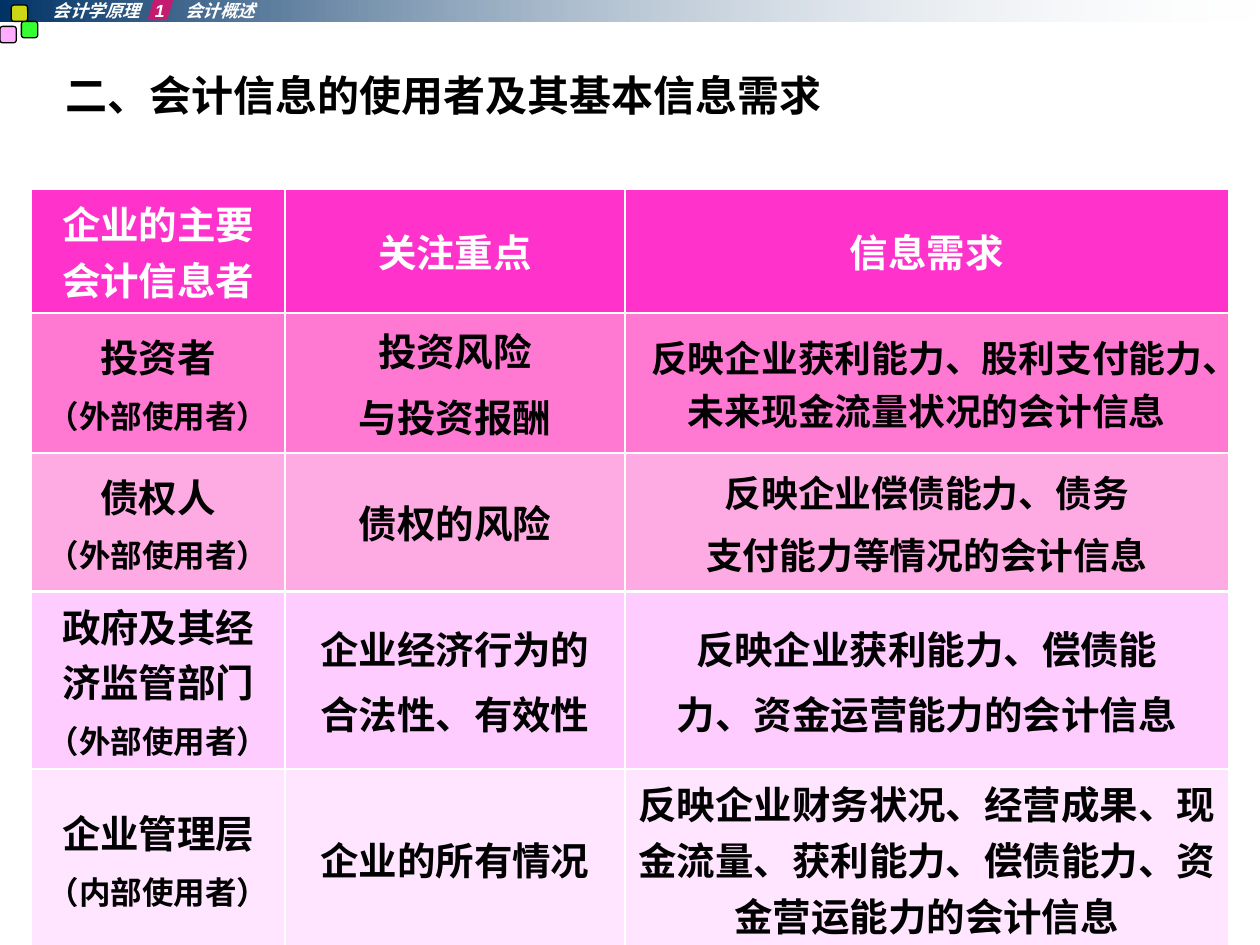
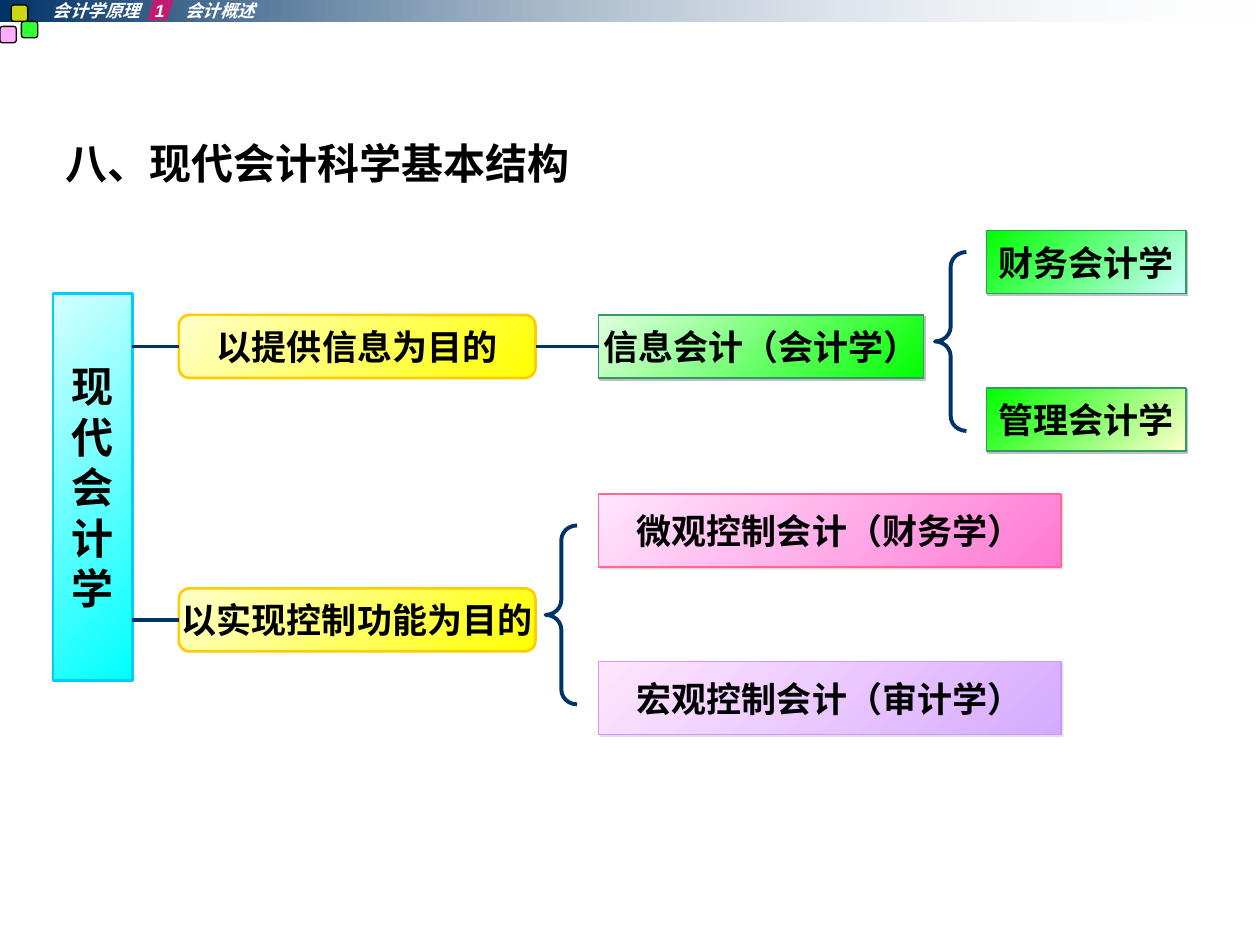
from pptx import Presentation
from pptx.dml.color import RGBColor
from pptx.enum.shapes import MSO_CONNECTOR, MSO_SHAPE
from pptx.enum.text import MSO_ANCHOR, MSO_AUTO_SIZE, PP_ALIGN
from pptx.oxml.ns import qn
from pptx.util import Inches, Pt
from lxml.etree import SubElement

COLORS = {
    "navy": "003366", "mist": "E7ECF1", "white": "FFFFFF", "black": "000000",
    "pink": "FF99FF", "green": "00FF00", "yellow": "FFFF00", "crimson": "FF0066",
    "cream": "FFFFCC", "gold": "FFCC00", "ice": "D5FFFF", "cyan": "00FFFF",
    "sky": "00CCFF", "pale green": "E1FFE1", "forest": "339966",
    "pale cyan": "CCFFFF", "blush": "FFE5FF", "rose": "FF79D2",
    "coral": "FF6699", "lilac": "D5ABFF", "violet": "CC99FF",
    "shadow": "C0C0C0", "magenta": "FF33CC", "light rose": "FFABE3",
    "pale pink": "FFCCFF",
}

# Shared header
HEADER_TEXT = "会计学原理\t1\t会计概述"
HEADER_TABS = (0.81, 1.05)
HEADER_SQUARES = [(0, 0.21, "pink"), (0.17, 0.17, "green"), (0.09, 0.04, "yellow")]

# Slide 1: each cell is a list of (line, size)
USERS_TITLE = "二、会计信息的使用者及其基本信息需求"
OUTSIDE, INSIDE = ("（外部使用者）", 18), ("（内部使用者）", 18)
COLUMN_WIDTHS = (2.01, 2.7, 4.79)
USER_ROWS = [
    ("magenta", 0.89, [
        [("企业的主要会计信息者", 22)],
        [("关注重点", 22)],
        [("信息需求", 22)]]),
    ("rose", 1.11, [
        [("投资者", 22), OUTSIDE],
        [("投资风险", 22), ("与投资报酬", 22)],
        [("反映企业获利能力、股利支付能力、未来现金流量状况的会计信息", 21)]]),
    ("light rose", 1.1, [
        [("债权人", 22), OUTSIDE],
        [("债权的风险", 22)],
        [("反映企业偿债能力、债务", 21), ("支付能力等情况的会计信息", 21)]]),
    ("pale pink", 1.2, [
        [("政府及其经济监管部门", 22), OUTSIDE],
        [("企业经济行为的", 22), ("合法性、有效性", 22)],
        [("反映企业获利能力、偿债能", 22), ("力、资金运营能力的会计信息", 22)]]),
    ("blush", 1.2, [
        [("企业管理层", 22), INSIDE],
        [("企业的所有情况", 22)],
        [("反映企业财务状况、经营成果、现金流量、获利能力、偿债能力、资金营运能力的会计信息", 22)]]),
]

# Slide 2
STRUCTURE_TITLE = "八、现代会计科学基本结构"
ROOT_TEXT = "现代会计学"
ROOT_BOX = (0.42, 2.33, 0.63, 3.07)
PURPOSES = [("以提供信息为目的", (1.42, 2.5, 2.83, 0.5)),
            ("以实现控制功能为目的", (1.42, 4.67, 2.83, 0.5))]
# text, box, gradient start, gradient end, outline, shadow opacity
BRANCHES = [
    ("信息会计（会计学）", (4.75, 2.5, 2.58, 0.5), "pale green", "green", "forest", 100),
    ("宏观控制会计（审计学）", (4.75, 5.25, 3.67, 0.58), "blush", "lilac", "violet", 50),
    ("微观控制会计（财务学）", (4.75, 3.92, 3.67, 0.58), "blush", "rose", "coral", 50),
    ("财务会计学", (7.83, 1.83, 1.58, 0.5), "green", "pale cyan", "forest", 100),
    ("管理会计学", (7.83, 3.08, 1.58, 0.5), "green", "cream", "forest", 100),
]
BRACES = [(7.42, 2, 0.25, 1.42), (4.33, 4.17, 0.25, 1.42)]


def rgb(name):
    return RGBColor.from_string(COLORS[name])


def inches(box):
    return [Inches(length) for length in box]


def set_font(paragraph, size, color="black", font="Arial", italic=None):
    paragraph.font.name = font
    paragraph.font.size = Pt(size)
    paragraph.font.bold = True
    paragraph.font.italic = italic
    paragraph.font.color.rgb = rgb(color)


def add_color(parent, name, opacity=100):
    color = SubElement(parent, qn("a:srgbClr"), val=COLORS[name])
    if opacity < 100:
        SubElement(color, qn("a:alpha"), val=str(opacity * 1000))


def set_last_alpha(shape, opacity):
    """Set the opacity of the last fill colour."""
    color = shape.element.xpath("p:spPr/*[self::a:solidFill or self::a:gradFill]//a:srgbClr")[-1]
    SubElement(color, qn("a:alpha"), val=str(opacity * 1000))


def add_filled(slide, kind, box, fill, outline=None, width=1, corner=None, angle=45):
    """Fill is one colour name, or a pair for a gradient."""
    shape = slide.shapes.add_shape(kind, *inches(box))
    shape.shadow.inherit = False
    if corner is not None:
        shape.adjustments[0] = corner
    if isinstance(fill, tuple):
        shape.fill.gradient()
        shape.fill.gradient_angle = (360 - angle) % 360
        for stop, name in zip(shape.fill.gradient_stops, fill):
            stop.color.rgb = rgb(name)
    else:
        shape.fill.solid()
        shape.fill.fore_color.rgb = rgb(fill)
    if outline:
        shape.line.color.rgb = rgb(outline)
        shape.line.width = Pt(width)
    else:
        shape.line.fill.background()
    return shape


def write_node(shape, text, size=20, font="Arial"):
    frame = shape.text_frame
    frame.text = text
    frame.word_wrap = False
    frame.vertical_anchor = MSO_ANCHOR.MIDDLE
    for paragraph in frame.paragraphs:
        paragraph.alignment = PP_ALIGN.CENTER
        set_font(paragraph, size, font=font)


def clear_insets(frame):
    frame.margin_left = frame.margin_right = frame.margin_top = frame.margin_bottom = 0


def add_header(slide):
    """Build the header and move it to the layout that all slides share."""
    band = add_filled(slide, MSO_SHAPE.RECTANGLE, (0, 0, 10, 0.17), ("navy", "mist"), angle=0)
    set_last_alpha(band, 0)
    parts = [band]
    for left, top, color in HEADER_SQUARES:
        square = add_filled(slide, MSO_SHAPE.ROUNDED_RECTANGLE, (left, top, 0.13, 0.13),
                            color, "black", 0.75)
        set_last_alpha(square, 80)
        parts.append(square)
    chapter_mark = add_filled(slide, MSO_SHAPE.PARALLELOGRAM, (1.17, -0.02, 0.21, 0.18),
                              "crimson", corner=0.3)
    set_last_alpha(chapter_mark, 70)

    course = slide.shapes.add_textbox(*inches((0.42, 0, 2.12, 0.17)))
    course.text_frame.word_wrap = True
    clear_insets(course.text_frame)
    paragraph = course.text_frame.paragraphs[0]
    paragraph.text = HEADER_TEXT
    paragraph.alignment = PP_ALIGN.LEFT
    tabs = SubElement(paragraph.runs[0].font and course.element.xpath(".//a:pPr")[0],
                      qn("a:tabLst"))
    for position in HEADER_TABS:
        SubElement(tabs, qn("a:tab"), pos=str(Inches(position)), algn="l")
    set_font(paragraph, 10, "white", italic=True)
    for part in parts + [chapter_mark, course]:
        slide.slide_layout.shapes.element.append(part.element)


def add_titled_slide(prs, text, top):
    slide = prs.slides.add_slide(prs.slide_layouts[5])
    title = slide.shapes.title
    title.left, title.top, title.width, title.height = inches((0.42, top, 9.17, 0.6))
    frame = title.text_frame
    frame.text = text
    frame.auto_size = MSO_AUTO_SIZE.NONE
    frame.vertical_anchor = MSO_ANCHOR.TOP
    frame.paragraphs[0].alignment = PP_ALIGN.LEFT
    set_font(frame.paragraphs[0], 24)
    return slide


def fill_cell(cell, lines, fill, text_color, inner_sides):
    cell.vertical_anchor = MSO_ANCHOR.MIDDLE
    cell.text = "\n".join(text for text, _ in lines)
    for index, (paragraph, (_, size)) in enumerate(zip(cell.text_frame.paragraphs, lines)):
        paragraph.alignment = PP_ALIGN.CENTER
        if index:
            paragraph.space_before = Pt(size / 4)
        set_font(paragraph, size, text_color)
    properties = cell._tc.get_or_add_tcPr()
    for side in inner_sides:
        border = SubElement(properties, qn("a:ln" + side), w=str(Pt(1.47)))
        add_color(SubElement(border, qn("a:solidFill")), "white")
    cell.fill.solid()
    cell.fill.fore_color.rgb = rgb(fill)


def build_users(slide):
    last_row, last_column = len(USER_ROWS) - 1, len(COLUMN_WIDTHS) - 1
    height = sum(row[1] for row in USER_ROWS)
    users = slide.shapes.add_table(last_row + 1, last_column + 1,
                                   *inches((0.25, 1.5, 9.5, height))).table
    users.horz_banding = False
    for column, width in zip(users.columns, COLUMN_WIDTHS):
        column.width = Inches(width)
    for r, (fill, row_height, cells) in enumerate(USER_ROWS):
        users.rows[r].height = Inches(row_height)
        for c, lines in enumerate(cells):
            has_neighbour = {"L": c > 0, "R": c < last_column, "T": r > 0, "B": r < last_row}
            fill_cell(users.cell(r, c), lines, fill, "black" if r else "white",
                      [side for side, inner in has_neighbour.items() if inner])


def style_line(line):
    line.color.rgb = rgb("navy")
    line.width = Pt(2.25)


def add_link(slide, start, end_node, start_node=None):
    x, y = start
    link = slide.shapes.add_connector(MSO_CONNECTOR.STRAIGHT, *inches((x, y, x, y)))
    if start_node:
        link.begin_connect(start_node, 3)
    link.end_connect(end_node, 1)
    style_line(link.line)
    SubElement(link.element.spPr, qn("a:effectLst"))


def build_structure(slide):
    # Root and the two purposes
    root = add_filled(slide, MSO_SHAPE.RECTANGLE, ROOT_BOX, ("ice", "cyan"), "sky", 1.5)
    write_node(root, "\n".join(ROOT_TEXT), 24, "Karla")
    clear_insets(root.text_frame)
    purposes = []
    for text, box in PURPOSES:
        purpose = add_filled(slide, MSO_SHAPE.ROUNDED_RECTANGLE, box,
                             ("cream", "yellow"), "gold", 1.5)
        write_node(purpose, text)
        purposes.append(purpose)

    # Branches with a soft offset shadow
    branches = []
    for text, box, start, end, outline, opacity in BRANCHES:
        branch = add_filled(slide, MSO_SHAPE.ROUNDED_RECTANGLE, box, (start, end), outline,
                            corner=0)
        effects = branch.element.spPr.find(qn("a:effectLst"))
        shadow = SubElement(effects, qn("a:outerShdw"), dist=str(Pt(1.4)), dir="2700000",
                            algn="ctr", rotWithShape="0")
        add_color(shadow, "shadow", opacity)
        write_node(branch, text)
        branches.append(branch)

    # Links and braces
    root_right = ROOT_BOX[0] + ROOT_BOX[2]
    for purpose, (_, (_, top, _, height)) in zip(purposes, PURPOSES):
        add_link(slide, (root_right, top + height / 2), purpose)
    add_link(slide, (4.25, 2.75), branches[0], purposes[0])
    for box in BRACES:
        brace = slide.shapes.add_shape(MSO_SHAPE.LEFT_BRACE, *inches(box))
        brace.shadow.inherit = False
        brace.adjustments[0] = 0.47
        brace.fill.background()
        style_line(brace.line)


def main():
    prs = Presentation()
    prs.slide_width, prs.slide_height = Inches(10), Inches(7.5)
    users_slide = add_titled_slide(prs, USERS_TITLE, 0.5)
    add_header(users_slide)
    build_users(users_slide)
    build_structure(add_titled_slide(prs, STRUCTURE_TITLE, 1.04))
    prs.save("out.pptx")


if __name__ == "__main__":
    main()
